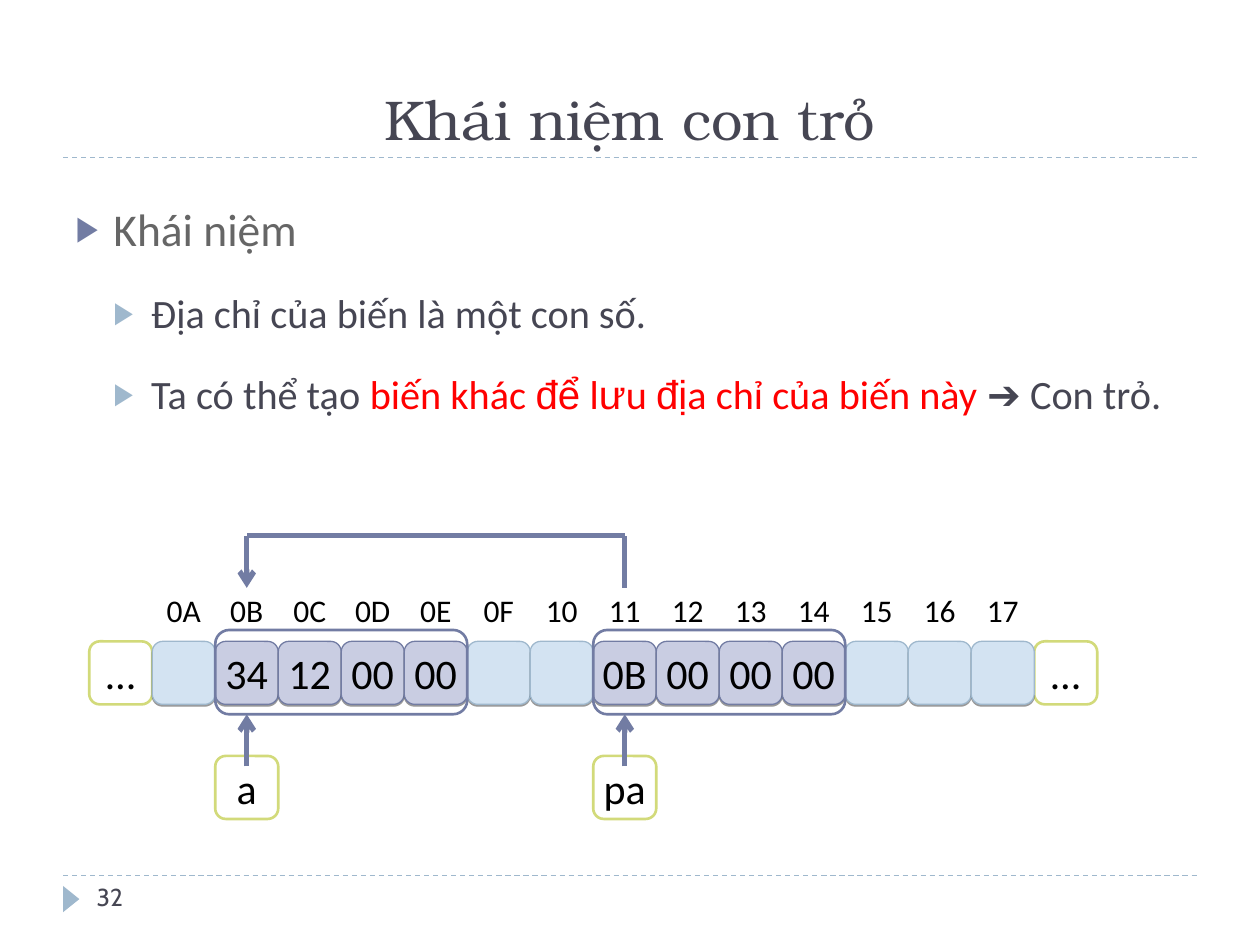
from lxml.etree import SubElement
from pptx import Presentation
from pptx.dml.color import RGBColor
from pptx.enum.dml import MSO_LINE
from pptx.enum.shapes import MSO_CONNECTOR, MSO_SHAPE
from pptx.enum.text import MSO_ANCHOR, MSO_AUTO_SIZE, PP_ALIGN
from pptx.oxml.ns import qn
from pptx.util import Cm, Pt

INK, GREY, RED, BLACK, WHITE = "464653", "666666", "FF0000", "000000", "FFFFFF"
INDIGO, SKY, LIME = "727CA3", "9FB8CD", "D2DA7A"
USED_FILL, FREE_FILL = "C9CDE2", "D3E3F2"

# Memory row, in cm: square cells on one pitch
CELL = 1.27
ROW_LEFT, ROW_TOP = 1.8, 12.93
ADDRESS_TOP = ROW_TOP - CELL
ADDRESSES = ["0A", "0B", "0C", "0D", "0E", "0F", "10",
             "11", "12", "13", "14", "15", "16", "17"]
VARIABLES = {"a": ("0B", ["34", "12", "00", "00"]),
             "pa": ("11", ["0B", "00", "00", "00"])}

# Each item: level, size, bullet colour, runs of (text, font, colour)
ITEMS = [
    (0, 26, INDIGO, [("Khái niệm", "Calibri", GREY)]),
    (1, 23, SKY, [("Địa chỉ của biến là một con số.", "Calibri", INK)]),
    (1, 23, SKY, [("Ta có thể tạo ", "Calibri", INK),
                  ("biến khác ", "Calibri", RED),
                  ("để", "Arial", RED),
                  (" l", "Calibri", RED),
                  ("ư", "Arial", RED),
                  ("u ", "Calibri", RED),
                  ("đị", "Arial", RED),
                  ("a chỉ của biến này ", "Calibri", RED),
                  ("➔", "Arial", INK),
                  (" Con trỏ.", "Calibri", INK)]),
]


def rgb(hex_value):
    return RGBColor.from_string(hex_value)


def set_format(target, values):
    for name, value in values.items():
        setattr(target, name, value)


def place(shape, left, top, width, height):
    set_format(shape, {"left": Cm(left), "top": Cm(top),
                       "width": Cm(width), "height": Cm(height)})


def add_run(paragraph, text, font, size, color):
    run = paragraph.add_run()
    run.text = text
    set_format(run.font, {"name": font, "size": Pt(size)})
    run.font.color.rgb = rgb(color)


def add_bullet(paragraph, color):
    properties = paragraph._p.get_or_add_pPr()
    indent = 274320
    properties.set("marL", str(indent * (paragraph.level + 1)))
    properties.set("indent", str(-indent))
    SubElement(SubElement(properties, qn("a:buClr")), qn("a:srgbClr"), val=color)
    SubElement(properties, qn("a:buSzPct"), val="76000")
    SubElement(properties, qn("a:buFont"), typeface="Arial")
    SubElement(properties, qn("a:buChar"), char="▶")


def add_drop_shadow(shape):
    effects = shape._element.spPr.find(qn("a:effectLst"))
    shadow = SubElement(effects, qn("a:outerShdw"), blurRad="0", dist="12700",
                        dir="5400000", rotWithShape="0")
    shade = SubElement(shadow, qn("a:srgbClr"), val=BLACK)
    SubElement(shade, qn("a:alpha"), val="40000")


def add_line(slide, start, end, color, width, dash=None, arrow=False):
    line = slide.shapes.add_connector(
        MSO_CONNECTOR.STRAIGHT, *(Cm(value) for value in (*start, *end)))
    line.line.color.rgb = rgb(color)
    set_format(line.line, {"width": Pt(width), "dash_style": dash})
    if arrow:
        SubElement(line.line._get_or_add_ln(), qn("a:tailEnd"), type="arrow")
    SubElement(line._element.spPr, qn("a:effectLst"))


def add_box(slide, left, top, width=CELL, height=CELL, text="", size=24,
            fill=None, outline=None, weight=1.5):
    box = slide.shapes.add_shape(MSO_SHAPE.ROUNDED_RECTANGLE, Cm(left), Cm(top),
                                 Cm(width), Cm(height))
    box.shadow.inherit = False
    if fill:
        box.fill.solid()
        box.fill.fore_color.rgb = rgb(fill)
    else:
        box.fill.background()
    if outline:
        box.line.color.rgb = rgb(outline)
        box.line.width = Pt(weight)
    else:
        box.line.fill.background()
    if text:
        set_format(box.text_frame, {"word_wrap": False,
                                    "vertical_anchor": MSO_ANCHOR.MIDDLE})
        label = box.text_frame.paragraphs[0]
        label.alignment = PP_ALIGN.CENTER
        add_run(label, text, "Calibri", size, BLACK)
    return box


def add_frame_lines(slide):
    for y in (3.18, 17.65):
        add_line(slide, (1.27, y), (24.13, y), SKY, 0.75, dash=MSO_LINE.DASH)
    marker = slide.shapes.add_shape(MSO_SHAPE.ISOSCELES_TRIANGLE, Cm(1.17),
                                    Cm(17.96), Cm(0.53), Cm(0.33))
    marker.rotation = 90
    marker.shadow.inherit = False
    marker.fill.solid()
    marker.fill.fore_color.rgb = rgb(SKY)
    marker.line.fill.background()


def add_title(slide):
    title = slide.shapes.title
    place(title, 1.27, 0.43, 22.86, 2.75)
    set_format(title.text_frame, {"vertical_anchor": MSO_ANCHOR.BOTTOM,
                                  "auto_size": MSO_AUTO_SIZE.NONE})
    heading = title.text_frame.paragraphs[0]
    heading.alignment = PP_ALIGN.CENTER
    add_run(heading, "Khái niệm con trỏ", "TeX Gyre Bonum", 32, INK)


def add_items(slide):
    body = slide.placeholders[1]
    place(body, 1.27, 3.38, 22.86, 13.72)
    frame = body.text_frame
    frame.auto_size = MSO_AUTO_SIZE.NONE
    for index, (level, size, bullet_color, runs) in enumerate(ITEMS):
        item = frame.add_paragraph() if index else frame.paragraphs[0]
        item.level = level
        add_bullet(item, bullet_color)
        set_format(item, {"line_spacing": 1.5,
                          "space_before": Pt(5 if index else 0)})
        for text, font, color in runs:
            add_run(item, text, font, size, color)


def cell_left(address):
    return ROW_LEFT + CELL * (1 + ADDRESSES.index(address))


def add_memory(slide):
    # Ellipses at both ends of the row
    for position in (0, len(ADDRESSES) + 1):
        add_box(slide, ROW_LEFT + CELL * position, ROW_TOP, text="…",
                fill=WHITE, outline=LIME)
    # Bytes held by the variables, keyed by address
    stored = {}
    for first, values in VARIABLES.values():
        start = ADDRESSES.index(first)
        stored.update(zip(ADDRESSES[start:], values))
    # Cells with their addresses above
    for address in ADDRESSES:
        left = cell_left(address)
        used = address in stored
        cell = add_box(slide, left, ROW_TOP, text=stored.get(address, ""),
                       fill=USED_FILL if used else FREE_FILL,
                       outline=INDIGO if used else SKY, weight=0.75)
        add_drop_shadow(cell)
        add_box(slide, left, ADDRESS_TOP, text=address, size=18)


def add_variables(slide):
    for name, (first, values) in VARIABLES.items():
        left = cell_left(first)
        middle = left + CELL / 2
        add_box(slide, left, 15.24, text=name, fill=WHITE, outline=LIME)
        add_line(slide, (middle, 15.45), (middle, 14.4), INDIGO, 3, arrow=True)
        add_box(slide, left, 12.7, CELL * len(values), 1.7, outline=INDIGO)


def add_pointer_link(slide):
    target, source = (cell_left(VARIABLES[name][0]) + CELL / 2
                      for name in ("a", "pa"))
    top, bottom = 10.8, 11.85
    add_line(slide, (source, bottom), (source, top), INDIGO, 3)
    add_line(slide, (target, top), (target, bottom), INDIGO, 3, arrow=True)
    add_line(slide, (source, top), (target, top), INDIGO, 3)


def add_page_number(slide):
    number = slide.shapes.add_textbox(Cm(1.7), Cm(17.65), Cm(5.5), Cm(1.02))
    number.text_frame.word_wrap = True
    add_run(number.text_frame.paragraphs[0], "32", "Cabin", 14, INK)


def main():
    deck = Presentation()
    set_format(deck, {"slide_width": Cm(25.4), "slide_height": Cm(19.05)})
    slide = deck.slides.add_slide(deck.slide_layouts[1])
    add_frame_lines(slide)
    add_title(slide)
    add_items(slide)
    add_memory(slide)
    add_variables(slide)
    add_pointer_link(slide)
    add_page_number(slide)
    deck.save("out.pptx")


if __name__ == "__main__":
    main()
